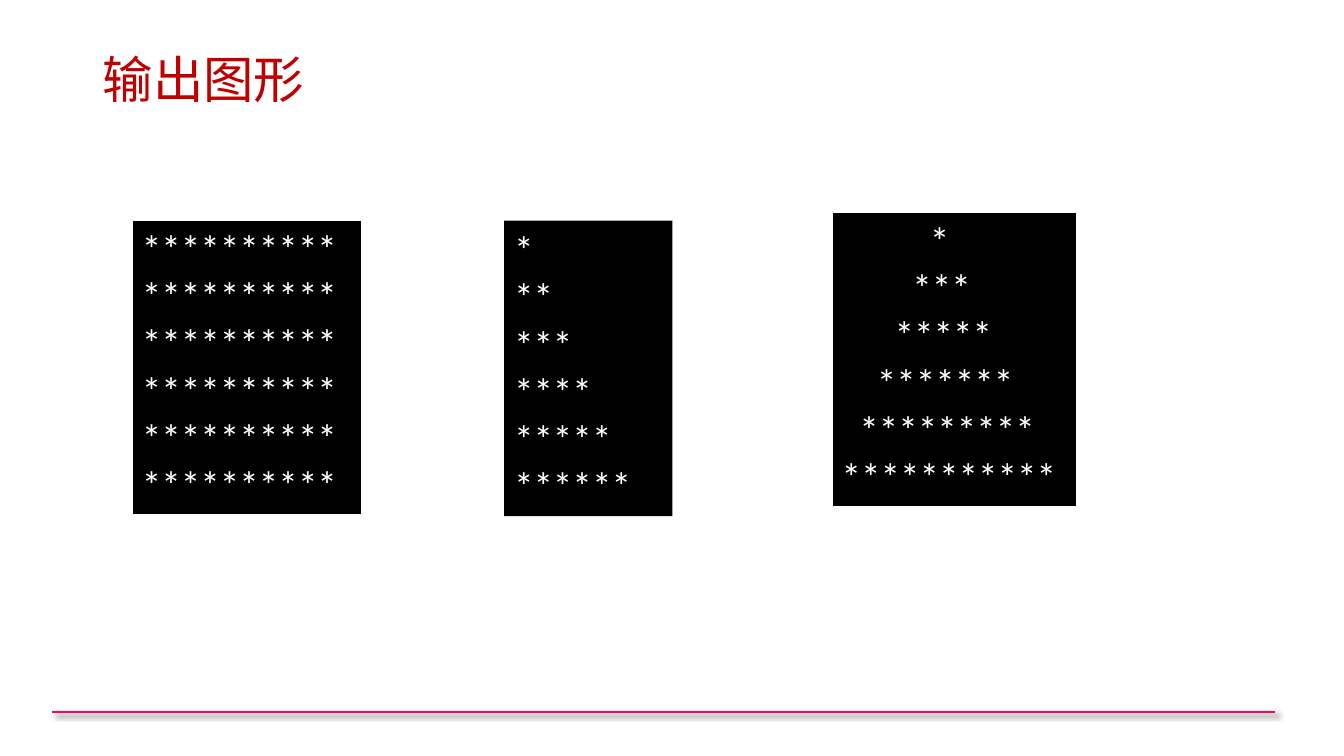
from lxml.etree import SubElement
from pptx import Presentation
from pptx.dml.color import RGBColor
from pptx.enum.shapes import MSO_CONNECTOR, MSO_SHAPE
from pptx.enum.text import MSO_ANCHOR, MSO_AUTO_SIZE, PP_ALIGN
from pptx.oxml.ns import qn
from pptx.util import Inches, Pt


def color(hex_code):
    return RGBColor.from_string(hex_code)


def style_text(paragraph, size, font_name, hex_code):
    paragraph.alignment = PP_ALIGN.LEFT
    for run in paragraph.runs:
        run.font.size = Pt(size)
        run.font.name = font_name
        run.font.color.rgb = color(hex_code)
        SubElement(run.font._element, qn("a:ea"), typeface=font_name)


deck = Presentation()
deck.slide_width, deck.slide_height = Inches(13.33), Inches(7.5)
slide = deck.slides.add_slide(deck.slide_layouts[6])

# Footer rule with a soft shadow
rule_y = Inches(7.06)
footer_rule = slide.shapes.add_connector(
    MSO_CONNECTOR.STRAIGHT, Inches(0.52), rule_y, Inches(12.65), rule_y)
footer_rule.line.color.rgb = color("FF0066")
footer_rule.line.width = Pt(1.5)
effects = SubElement(footer_rule._element.spPr, qn("a:effectLst"))
shadow = SubElement(effects, qn("a:outerShdw"), blurRad=str(Pt(4)),
                    dist=str(Pt(3)), dir=str(45 * 60000),
                    algn="tl", rotWithShape="0")
shadow_color = SubElement(shadow, qn("a:srgbClr"), val="000000")
SubElement(shadow_color, qn("a:alpha"), val="40000")

# Title
title = slide.shapes.add_textbox(
    Inches(0.92), Inches(0.4), Inches(11.5), Inches(0.83))
title.text_frame.word_wrap = True
title.text_frame.vertical_anchor = MSO_ANCHOR.MIDDLE
title.text_frame.text = "输出图形"
heading = title.text_frame.paragraphs[0]
heading.line_spacing = 0.9
style_text(heading, 36, "Noto Sans CJK SC", "C00000")

# Star figures: left, top, width, stars in each row, indent step, outlined
ROWS = 6
FIGURE_HEIGHT = 2.93
rectangle = [10] * ROWS
triangle = [row + 1 for row in range(ROWS)]
pyramid = [2 * row + 1 for row in range(ROWS)]
figures = [
    (1.31, 2.18, 2.28, rectangle, 0, True),
    (5.0, 2.19, 1.67, triangle, 0, False),
    (8.25, 2.1, 2.43, pyramid, 0.175, True),
]
for left, top, width, star_counts, indent_step, outlined in figures:
    figure = slide.shapes.add_shape(
        MSO_SHAPE.RECTANGLE, Inches(left), Inches(top),
        Inches(width), Inches(FIGURE_HEIGHT))
    figure.shadow.inherit = False
    figure.fill.solid()
    figure.fill.fore_color.rgb = color("000000")
    if outlined:
        figure.line.color.rgb = color("FFFFFF")
        figure.line.width = Pt(1.5)
    else:
        figure.line.fill.background()

    stars = figure.text_frame
    stars.word_wrap = True
    stars.vertical_anchor = MSO_ANCHOR.TOP
    stars.auto_size = MSO_AUTO_SIZE.SHAPE_TO_FIT_TEXT if outlined else MSO_AUTO_SIZE.NONE
    stars.text = "\n".join("*" * count for count in star_counts)
    for row, star_row in enumerate(stars.paragraphs):
        style_text(star_row, 28, "Calibri", "FFFFFF")
        # Each row above the base moves in by one more step
        indent = Inches(indent_step * (ROWS - 1 - row))
        star_row._p.get_or_add_pPr().set("marL", str(indent))

deck.save("out.pptx")
